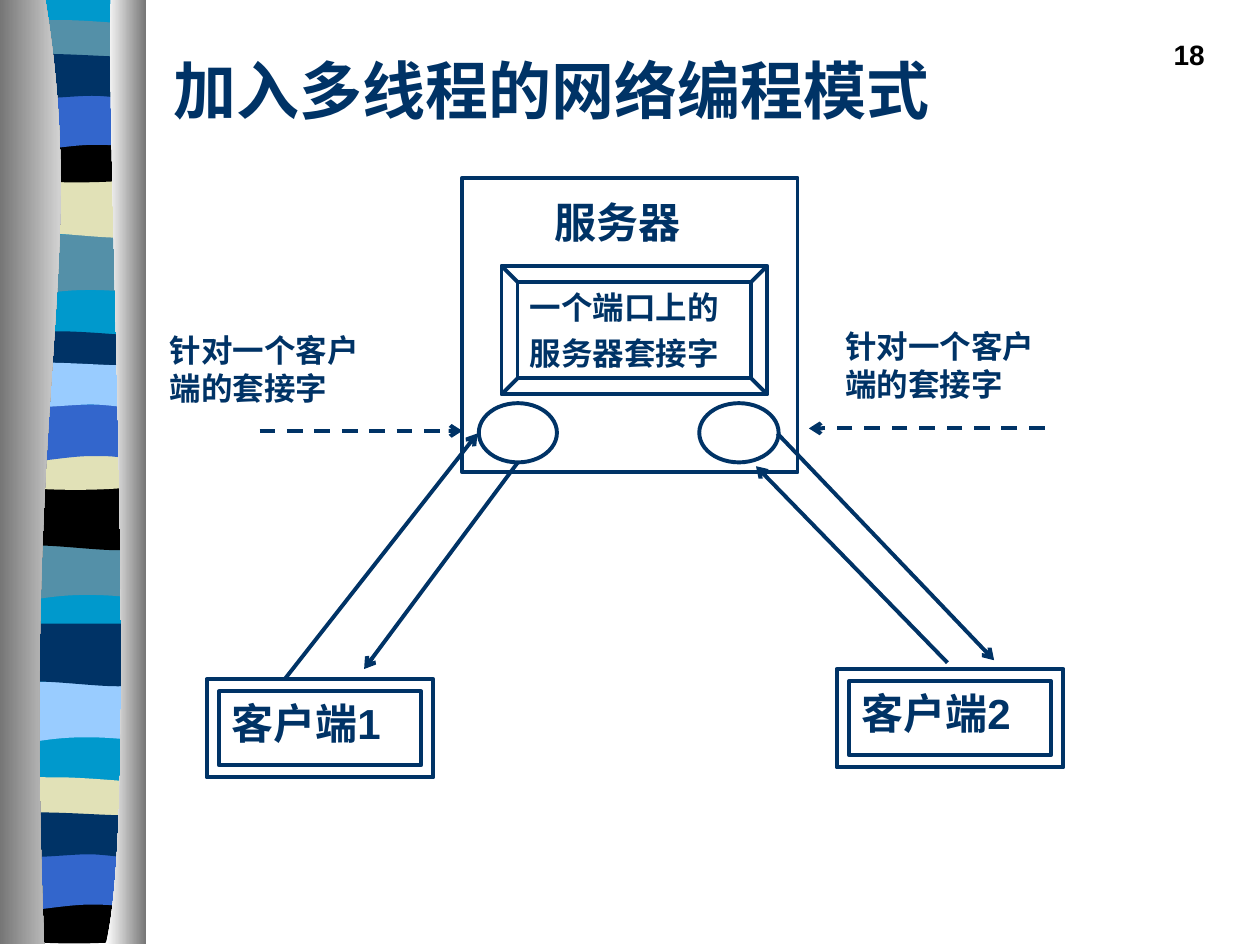
from dataclasses import dataclass

from lxml import etree
from pptx import Presentation
from pptx.dml.color import RGBColor
from pptx.enum import dml, shapes, text
from pptx.oxml import ns
from pptx.util import Inches, Pt

COLORS = {
    "navy": "003366", "sky": "0099CC", "teal": "5490A8", "cream": "E1E1B7",
    "black": "000000", "blue": "3366CC", "pale": "99CCFF",
    "gray": "767676", "white": "FFFFFF",
}

# Outlines: a pair of numbers is a corner, three pairs are a Bezier curve
WAVES = {
    "deep": [(1.06, 0), (1.06, 0.47), ((0.32, 0.38), (0.18, 0.54), (0, 0.47)), (0, 0)],
    "swell": [(1.06, 0), (1.06, 0.47), ((0.88, 0.55), (0.33, 0.42), (0, 0.47)), (0, 0)],
    "thin": [(1.06, 0.05), (1.06, 0.29), ((0.88, 0.33), (0.18, 0.33), (0, 0.29)),
             (0, 0.05), ((0.07, 0), (0.23, 0.01), (0.41, 0.01)),
             ((0.59, 0.01), (0.92, 0.04), (1.06, 0.05))],
    "bowl": [(1.06, 0), (1.06, 0.33), ((0.88, 0.38), (0.18, 0.38), (0, 0.33)),
             (0, 0), ((0.65, 0.05), (0.84, 0), (1.06, 0))],
    "arch": [(1.06, 0), (1.06, 0.47), ((0.9, 0.41), (0.83, 0.41), (0.65, 0.41)),
             ((0.48, 0.41), (0.16, 0.47), (0, 0.47)), (0, 0)],
    "ripple": [(1.06, 0.05), (1.06, 0.36), ((0.99, 0.41), (0.83, 0.36), (0.65, 0.36)),
               ((0.48, 0.36), (0.11, 0.41), (0, 0.36)), (0, 0.05),
               ((0.15, 0), (0.72, 0.05), (0.9, 0.05))],
}
BACKING = [(1.14, 0), (1.14, 7.47), (0.09, 7.47), (0.09, 0)]
LEFT_EDGE = [(0.36, 0), ((0.71, 2.16), (0.17, 2.96), (0.35, 7.49)), (0, 7.49), (0, 0)]
RIGHT_EDGE = [(0.88, 0), ((0.84, 1.25), (1.11, 6.46), (0.84, 7.49)), (1.16, 7.49), (1.16, 0)]


@dataclass
class Band:
    wave: str
    color: str
    left: float
    top: float


@dataclass
class Label:
    words: str
    left: float
    top: float
    width: float
    height: float
    size: int
    font: str = "Arial"
    color: str = "navy"
    align: text.PP_ALIGN = text.PP_ALIGN.LEFT
    anchor: text.MSO_ANCHOR = text.MSO_ANCHOR.TOP
    fit: text.MSO_AUTO_SIZE = text.MSO_AUTO_SIZE.SHAPE_TO_FIT_TEXT


@dataclass
class Box:
    kind: shapes.MSO_SHAPE
    left: float
    top: float
    width: float
    height: float
    lines: tuple[str, ...] = ()
    size: int = 24


@dataclass
class Arrow:
    start: tuple[float, float]
    end: tuple[float, float]
    dashed: bool = False


# The ribbon's six waves come three times down the slide
BANDS = [
    Band("deep", "teal", 0.08, 1.86), Band("swell", "cream", 0.09, 1.39),
    Band("thin", "teal", 0.09, 0.15), Band("bowl", "black", 0.08, 1.08),
    Band("arch", "blue", 0.08, 0.74), Band("ripple", "navy", 0.08, 0.4),
    Band("deep", "teal", 0.06, 4.28), Band("swell", "black", 0.07, 3.87),
    Band("thin", "navy", 0.07, 2.62), Band("bowl", "cream", 0.07, 3.52),
    Band("arch", "blue", 0.07, 3.21), Band("ripple", "pale", 0.07, 2.85),
    Band("deep", "pale", 0.05, 5.41), Band("swell", "navy", 0.07, 4.95),
    Band("thin", "cream", 0.06, 6.16), Band("bowl", "black", 0.06, 7.12),
    Band("arch", "blue", 0.05, 6.77), Band("ripple", "navy", 0.05, 6.42),
]
SOCKET_NOTE = "针对一个客户端的套接字"
PARTS = [
    # Page number and title
    Label("18", 7.58, 0.25, 2.08, 0.5, 16, color="black", align=text.PP_ALIGN.RIGHT,
          fit=text.MSO_AUTO_SIZE.NONE),
    Label("加入多线程的网络编程模式", 1.28, 0.5, 8.5, 0.42, 36, "Times New Roman",
          anchor=text.MSO_ANCHOR.MIDDLE, fit=text.MSO_AUTO_SIZE.NONE),
    # Server with its sockets
    Box(shapes.MSO_SHAPE.RECTANGLE, 3.67, 1.41, 2.66, 2.34),
    Label("服务器", 4.3, 1.51, 1.72, 0.5, 24),
    Box(shapes.MSO_SHAPE.BEVEL, 3.98, 2.11, 2.11, 1.02, ("一个端口上的", "服务器套接字"), 18),
    Box(shapes.MSO_SHAPE.OVAL, 3.8, 3.2, 0.62, 0.47),
    Box(shapes.MSO_SHAPE.OVAL, 5.55, 3.2, 0.63, 0.47),
    # Clients
    Box(shapes.MSO_SHAPE.FRAME, 1.64, 5.39, 1.8, 0.78, ("客户端1",)),
    Box(shapes.MSO_SHAPE.FRAME, 6.64, 5.31, 1.8, 0.78, ("客户端2",)),
    # Traffic both ways, then pointers from the notes
    Arrow((4.11, 3.67), (2.89, 5.31)), Arrow((2.26, 5.39), (3.79, 3.44)),
    Arrow((6.17, 3.44), (7.89, 5.24)), Arrow((7.52, 5.26), (6, 3.7)),
    Arrow((2.06, 3.42), (3.67, 3.42), True), Arrow((8.29, 3.4), (6.42, 3.4), True),
    Label(SOCKET_NOTE, 1.25, 2.58, 1.8, 0.7, 18),
    Label(SOCKET_NOTE, 6.61, 2.55, 1.8, 0.7, 18),
]


def rgb(name: str) -> RGBColor:
    return RGBColor.from_string(COLORS[name])


def draw_outline(parent, outline: list, colors: list[str], left=0.0, top=0.0) -> None:
    points, curve_starts = [], []
    for part in outline:
        if len(part) == 3:
            curve_starts.append(len(points))
        points += part if len(part) == 3 else [part]
    points = [(Inches(left + x), Inches(top + y)) for x, y in points]
    builder = parent.build_freeform(*points[0])
    builder.add_line_segments(points[1:], close=True)
    area = builder.convert_to_shape()

    # Join each curve's three points into one Bezier segment
    segments = list(area._element.find(".//" + ns.qn("a:path")))
    for first in curve_starts:
        curve = etree.Element(ns.qn("a:cubicBezTo"))
        segments[first].addprevious(curve)
        for segment in segments[first:first + 3]:
            curve.append(segment[0])
            segment.getparent().remove(segment)

    area.shadow.inherit = False
    area.line.fill.background()
    if len(colors) == 1:
        area.fill.solid()
        area.fill.fore_color.rgb = rgb(colors[0])
        return
    area.fill.gradient()
    area.fill.gradient_angle = 0
    for stop, color in zip(area.fill.gradient_stops, colors):
        stop.color.rgb = rgb(color)


def add_words(paragraph, words: str, size: int, font="Arial", color="navy") -> None:
    run = paragraph.add_run()
    run.text = words
    run.font.size, run.font.name, run.font.bold = Pt(size), font, True
    run.font.color.rgb = rgb(color)


def draw_label(slide, label: Label) -> None:
    frame = slide.shapes.add_textbox(Inches(label.left), Inches(label.top),
                                     Inches(label.width), Inches(label.height)).text_frame
    frame.word_wrap = True
    frame.auto_size = label.fit
    frame.vertical_anchor = label.anchor
    frame.paragraphs[0].alignment = label.align
    add_words(frame.paragraphs[0], label.words, label.size, label.font, label.color)


def style_line(line) -> None:
    line.color.rgb = rgb("navy")
    line.width = Pt(2.25)


def draw_box(slide, box: Box) -> None:
    body = slide.shapes.add_shape(box.kind, Inches(box.left), Inches(box.top),
                                  Inches(box.width), Inches(box.height))
    body.shadow.inherit = False
    body.fill.background()
    style_line(body.line)
    frame = body.text_frame
    frame.vertical_anchor = text.MSO_ANCHOR.TOP
    for i, words in enumerate(box.lines):
        paragraph = frame.add_paragraph() if i else frame.paragraphs[0]
        paragraph.alignment = text.PP_ALIGN.LEFT
        if i:
            paragraph.space_before = Pt(4.5)
        add_words(paragraph, words, box.size)


def draw_arrow(slide, arrow: Arrow) -> None:
    link = slide.shapes.add_connector(shapes.MSO_CONNECTOR.STRAIGHT,
                                      *map(Inches, arrow.start + arrow.end))
    style_line(link.line)
    if arrow.dashed:
        link.line.dash_style = dml.MSO_LINE.DASH
    etree.SubElement(link.line._get_or_add_ln(), ns.qn("a:tailEnd"), type="arrow")
    etree.SubElement(link._element.spPr, ns.qn("a:effectLst"))


def main() -> None:
    prs = Presentation()
    prs.slide_width, prs.slide_height = Inches(10), Inches(7.5)
    slide = prs.slides.add_slide(prs.slide_layouts[6])

    # Ribbon down the left side
    ribbon = slide.shapes.add_group_shape().shapes
    draw_outline(ribbon, BACKING, ["sky"])
    for band in BANDS:
        draw_outline(ribbon, WAVES[band.wave], [band.color], band.left, band.top)
    draw_outline(ribbon, LEFT_EDGE, ["gray", "white"])
    draw_outline(ribbon, RIGHT_EDGE, ["white", "gray"])

    # Diagram and its words, back to front
    draw = {Label: draw_label, Box: draw_box, Arrow: draw_arrow}
    for part in PARTS:
        draw[type(part)](slide, part)

    prs.save("out.pptx")


if __name__ == "__main__":
    main()
